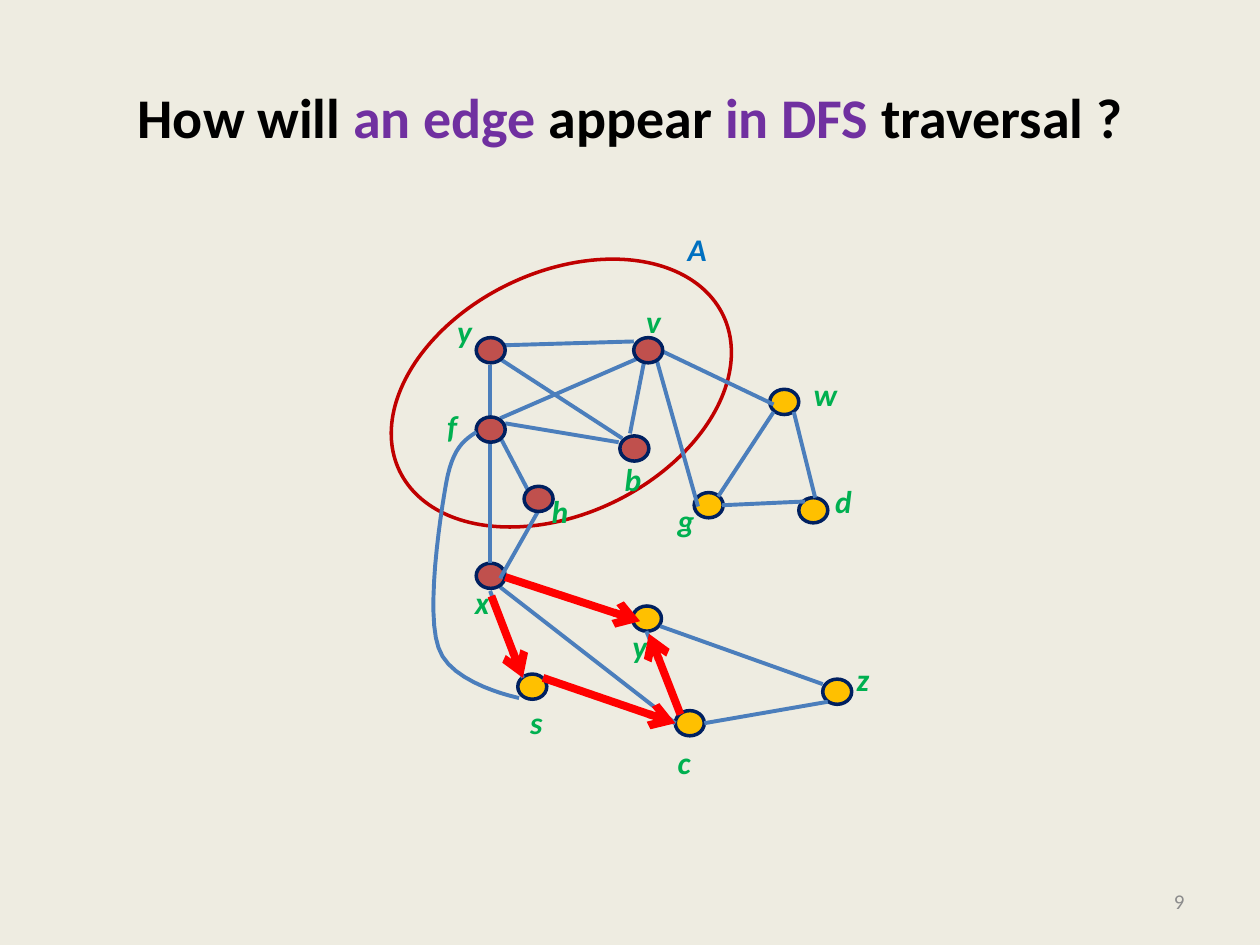
from lxml import etree
from pptx import Presentation
from pptx.dml.color import RGBColor
from pptx.enum.shapes import MSO_CONNECTOR, MSO_SHAPE
from pptx.enum.text import MSO_ANCHOR, MSO_AUTO_SIZE, PP_ALIGN
from pptx.oxml.ns import qn
from pptx.util import Pt

STRAIGHT = MSO_CONNECTOR.STRAIGHT
OVAL = MSO_SHAPE.OVAL
MIDDLE, TOP = MSO_ANCHOR.MIDDLE, MSO_ANCHOR.TOP
LEFT, MID, RIGHT = PP_ALIGN.LEFT, PP_ALIGN.CENTER, PP_ALIGN.RIGHT
FIT, FIXED = MSO_AUTO_SIZE.SHAPE_TO_FIT_TEXT, MSO_AUTO_SIZE.NONE

PX = 9144  # 100 px to the inch
BLACK, PURPLE, GREY = "000000", "7030A0", "8C8C8C"
GREEN, BLUE, STEEL = "00B050", "0070C0", "4B7EBC"
GOLD, BRICK, NAVY = "FFC000", "C0504D", "002060"
RED, CRIMSON, CREAM = "FF0000", "C00000", "EEECE1"

TITLE = [("How will", BLACK), (" an edge ", PURPLE), ("appear", BLACK),
         (" in DFS ", PURPLE), ("traversal ?", BLACK)]

# Vertices: left, top
NEW = [(502, 481), (411, 535), (653, 539), (551, 391),
       (536, 564), (634, 395), (611, 309)]
START = [(378, 447)]
SEEN = [(503, 268), (378, 268), (378, 331), (492, 346), (416, 386)]

# Edges: x1, y1, x2, y2
OUTER = [(401, 458, 502, 491), (415, 538, 389, 469), (647, 395, 630, 327),
         (559, 574, 657, 557), (513, 501, 540, 567), (573, 401, 639, 398),
         (570, 394, 614, 327), (397, 466, 536, 574), (653, 543, 524, 497),
         (431, 538, 536, 574)]
INNER = [(401, 336, 491, 351), (401, 274, 503, 271), (389, 290, 389, 331),
         (389, 349, 389, 447), (524, 278, 614, 321), (397, 347, 419, 389),
         (511, 288, 500, 344), (397, 285, 494, 348), (505, 285, 397, 332),
         (521, 285, 554, 402), (427, 406, 397, 459)]
WALK = [(401, 458, 508, 493), (390, 473, 415, 538),
        (431, 538, 536, 574), (540, 567, 515, 503)]

# Back edge from f to s: start, then two controls and an end per piece
BEND = [(378, 343), (369, 349), (359, 355), (354, 384),
        (349, 412), (338, 486), (348, 514),
        (357, 543), (412, 554), (412, 554)]

# Labels: text, left, top, width
LABELS = [("z", 670, 519, 30), ("c", 528, 585, 31), ("d", 653, 378, 34),
          ("g", 528, 393, 34), ("w", 636, 293, 39), ("s", 411, 553, 30),
          ("y", 353, 243, 32), ("f", 345, 318, 28), ("b", 486, 360, 34),
          ("h", 428, 386, 34), ("v", 503, 235, 32), ("x", 367, 458, 32),
          ("y", 492, 493, 32)]


def hue(code):
    return RGBColor.from_string(code)


def assign(item, **values):
    for name, value in values.items():
        setattr(item, name, value)


def stroke(item, color, width):
    item.line.color.rgb = hue(color)
    item.line.width = Pt(width)


def add_text(slide, box, runs, size, align=LEFT, anchor=TOP,
             wrap=True, fit=FIXED, **style):
    shape = slide.shapes.add_textbox(*(n * PX for n in box))
    frame = shape.text_frame
    assign(frame, word_wrap=wrap, auto_size=fit, vertical_anchor=anchor)
    para = frame.paragraphs[0]
    para.alignment = align
    for words, color in runs:
        run = para.add_run()
        run.text = words
        assign(run.font, name="Calibri", size=Pt(size), **style)
        run.font.color.rgb = hue(color)


def add_label(slide, text, left, top, width, color=GREEN):
    add_text(slide, (left, top, width, 40), [(text, color)], 18,
             wrap=False, fit=FIT, bold=True, italic=True)


def add_oval(slide, box, color, fill=None, turn=0):
    oval = slide.shapes.add_shape(OVAL, *(n * PX for n in box))
    assign(oval, rotation=turn)
    oval.shadow.inherit = False
    stroke(oval, color, 2)
    if fill:
        oval.fill.solid()
        oval.fill.fore_color.rgb = hue(fill)
    else:
        oval.fill.background()


def add_nodes(slide, spots, fill):
    for left, top in spots:
        add_oval(slide, (left, top, 23, 20), NAVY, fill)


def add_edges(slide, edges, color=STEEL, width=2.25, arrow=False):
    for ends in edges:
        edge = slide.shapes.add_connector(STRAIGHT, *(n * PX for n in ends))
        stroke(edge, color, width)
        props = edge._element.spPr
        etree.SubElement(props, qn("a:effectLst"))
        if arrow:
            etree.SubElement(edge.line._get_or_add_ln(), qn("a:tailEnd"),
                             type="arrow")


def trace(points, steps=12):
    """Sample a chain of cubic curves."""
    spots = [points[0]]
    for i in range(0, len(points) - 1, 3):
        piece = points[i:i + 4]
        for k in range(1, steps + 1):
            t = k / steps
            mix = ((1 - t) ** 3, 3 * t * (1 - t) ** 2,
                   3 * t * t * (1 - t), t ** 3)
            spots.append(tuple(sum(m * p[axis] for m, p in zip(mix, piece))
                               for axis in (0, 1)))
    return spots


def add_bend(slide, points):
    spots = [(x * PX, y * PX) for x, y in trace(points)]
    pen = slide.shapes.build_freeform(*spots[0])
    pen.add_line_segments(spots[1:], close=False)
    bend = pen.convert_to_shape()
    bend.shadow.inherit = False
    bend.fill.background()
    stroke(bend, STEEL, 2.25)


def main():
    deck = Presentation()
    assign(deck, slide_width=1000 * PX, slide_height=750 * PX)
    slide = deck.slides.add_slide(deck.slide_layouts[6])
    back = slide.background.fill
    back.solid()
    back.fore_color.rgb = hue(CREAM)

    # Title and page number
    add_text(slide, (50, 30, 900, 125), TITLE, 32, MID, MIDDLE, bold=True)
    add_text(slide, (717, 695, 233, 40), [("9", GREY)], 12, RIGHT, MIDDLE)

    # Unvisited part of the graph
    add_nodes(slide, NEW, GOLD)
    add_edges(slide, OUTER)
    add_nodes(slide, START, BRICK)

    # Visited set A
    add_oval(slide, (303, 216, 285, 192), CRIMSON, turn=334.3)
    add_label(slide, "A", 536, 178, 35, BLUE)
    add_edges(slide, INNER)
    add_nodes(slide, SEEN, BRICK)
    add_bend(slide, BEND)

    # Vertex names and the walk from x
    for label in LABELS:
        add_label(slide, *label)
    add_edges(slide, WALK, RED, 4.5, arrow=True)

    deck.save("out.pptx")


if __name__ == "__main__":
    main()
